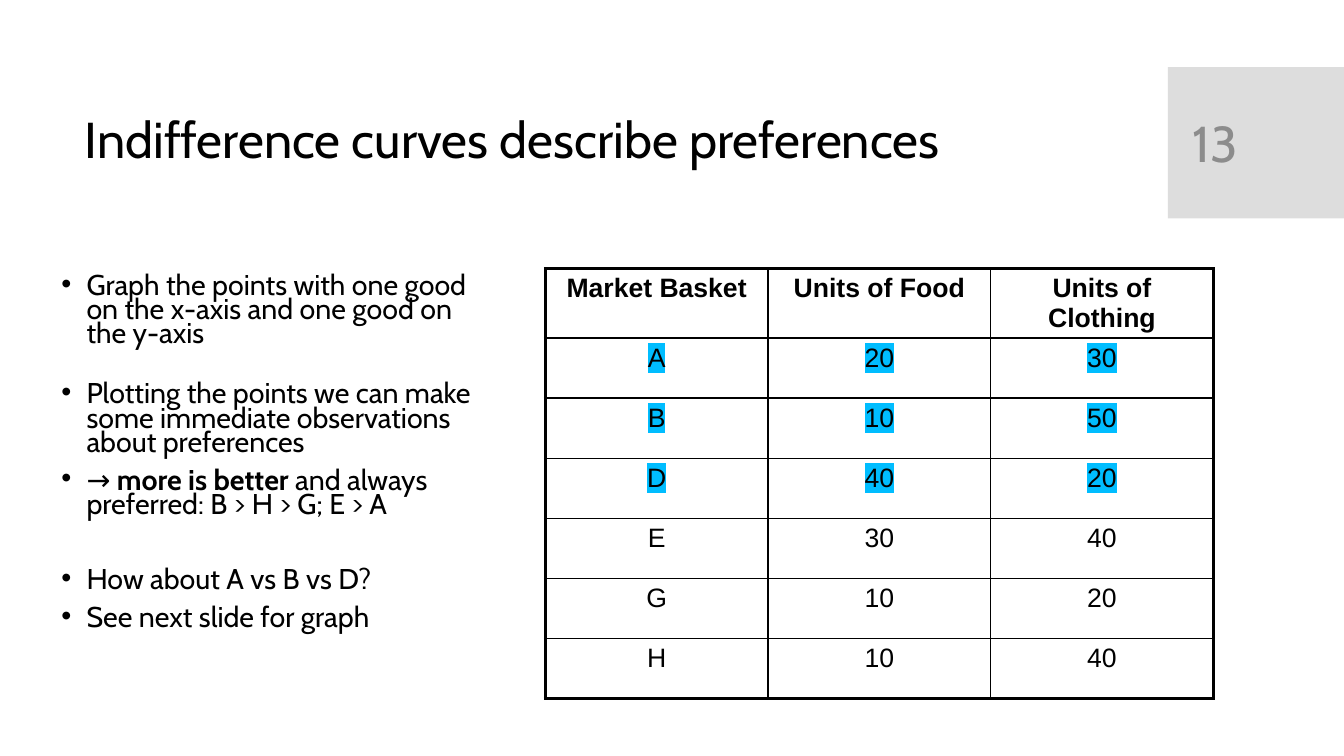
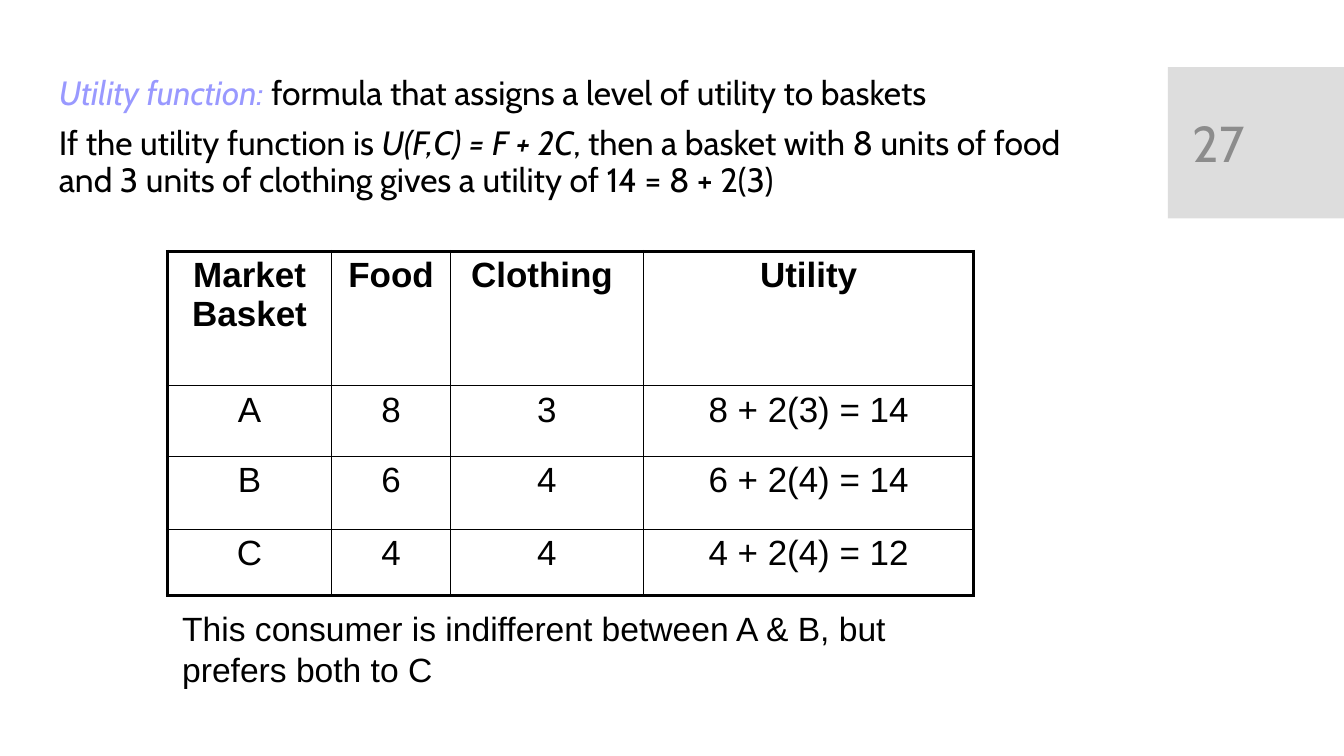
from lxml import etree
from pptx import Presentation
from pptx.dml.color import RGBColor
from pptx.enum.shapes import MSO_SHAPE as Shape
from pptx.enum.text import MSO_ANCHOR as Anchor, MSO_AUTO_SIZE as AutoSize, PP_ALIGN as Align
from pptx.oxml.ns import qn
from pptx.util import Inches, Pt

BLACK = RGBColor(0x00, 0x00, 0x00)
BAND_GRAY = RGBColor(0xDD, 0xDD, 0xDD)
NUMBER_GRAY = RGBColor(0x8C, 0x8C, 0x8C)
LILAC = RGBColor(0x99, 0x99, 0xFF)
HIGHLIGHT = RGBColor(0x00, 0xBD, 0xFF)

# The slide is a grid of 160 columns by 90 rows
COLUMNS, ROWS = 160, 90
prs = Presentation()
prs.slide_width, prs.slide_height = Inches(13.33), Inches(7.5)
UNIT = prs.slide_height / ROWS


def write(frame, paragraphs, font, bullet=None):
    """Each paragraph is (paragraph format, runs); each run is (text, font changes)."""
    frame.word_wrap = True
    frame.auto_size = AutoSize.NONE
    for index, (layout, runs) in enumerate(paragraphs):
        paragraph = frame.add_paragraph() if index else frame.paragraphs[0]
        pPr = paragraph._p.get_or_add_pPr()
        pPr.set("marL", str(Inches(0.25) if bullet else 0))
        pPr.set("indent", str(Inches(-0.25) if bullet else 0))
        if bullet:
            etree.SubElement(pPr, qn("a:buFont")).set("typeface", "Arial")
            etree.SubElement(pPr, qn("a:buChar")).set("char", bullet)
        else:
            etree.SubElement(pPr, qn("a:buNone"))
        for key, value in ({"space_before": Pt(0), "alignment": Align.LEFT} | layout).items():
            setattr(paragraph, key, value)
        for text, changes in runs:
            run = paragraph.add_run()
            run.text = text
            look = {"color": BLACK} | font | changes
            run.font.color.rgb = look.pop("color")
            for key, value in look.items():
                setattr(run.font, key, value)


def add_basket_table(slide, left, top, widths, heights, rows, size, marked=()):
    """Ruled table: bold header, heavy outer frame, highlighted rows in marked."""
    table = slide.shapes.add_table(
        len(rows), len(widths), int(left * UNIT), int(top * UNIT),
        int(sum(widths) * UNIT), int(sum(heights) * UNIT)).table
    table.first_row = table.horz_banding = False
    for column, width in zip(table.columns, widths):
        column.width = int(width * UNIT)
    for r, texts in enumerate(rows):
        table.rows[r].height = int(heights[r] * UNIT)
        for c, text in enumerate(texts):
            cell = table.cell(r, c)
            write(cell.text_frame, [({"alignment": Align.CENTER}, [(text, {})])],
                  {"name": "Arial", "size": Pt(size), "bold": r == 0})
            if r in marked:
                mark = etree.Element(qn("a:highlight"))
                etree.SubElement(mark, qn("a:srgbClr")).set("val", str(HIGHLIGHT))
                cell._tc.find(".//" + qn("a:latin")).addprevious(mark)
            tcPr = cell._tc.get_or_add_tcPr()
            outer = {"L": c == 0, "R": c == len(widths) - 1,
                     "T": r == 0, "B": r == len(rows) - 1}
            for side, heavy in outer.items():
                border = etree.SubElement(tcPr, qn("a:ln" + side))
                border.set("w", str(Pt(2.25 if heavy else 1)))
                fill = etree.SubElement(border, qn("a:solidFill"))
                etree.SubElement(fill, qn("a:srgbClr")).set("val", str(BLACK))
            cell.fill.background()


# Shared parts: gray band with the page number, placed body
pages = [("13", (6.1, 32.3, 51.7, 45.8)), ("27", (5.8, 8.5, 126.1, 17.6))]
for number, body_area in pages:
    slide = prs.slides.add_slide(prs.slide_layouts[1])
    band = slide.shapes.add_shape(
        Shape.RECTANGLE, *(int(n * UNIT) for n in (139, 8, COLUMNS - 139, 18)))
    band.shadow.inherit = False
    band.fill.solid()
    band.fill.fore_color.rgb = BAND_GRAY
    band.line.fill.background()
    page_number = slide.shapes.add_textbox(*(int(n * UNIT) for n in (140.8, 9.8, 15.1, 14.3)))
    page_number.text_frame.vertical_anchor = Anchor.MIDDLE
    write(page_number.text_frame, [({}, [(number, {})])],
          {"name": "Cabin", "size": Pt(36), "color": NUMBER_GRAY})
    body = slide.placeholders[1]
    body.left, body.top, body.width, body.height = (int(n * UNIT) for n in body_area)
curves, utility = prs.slides

# Indifference curves: title
title = curves.shapes.title
title.left, title.top, title.width, title.height = (
    int(n * UNIT) for n in (8.9, 9.8, 126.1, 14.2))
title.text_frame.vertical_anchor = Anchor.MIDDLE
write(title.text_frame,
      [({"line_spacing": 0.9}, [("Indifference curves describe preferences", {})])],
      {"name": "Cabin", "size": Pt(36)})

# Indifference curves: points, each with the gap above it
points = [
    (0, [("Graph the points with one good on the x-axis and one good on the y-axis", {})]),
    (26, [("Plotting the points we can make some immediate observations about preferences", {})]),
    (10, [("→ ", {}), ("more is better ", {"bold": True}),
          ("and always preferred: B > H > G; E > A", {})]),
    (37, [("How about A vs B vs D?", {})]),
    (10, [("See next slide for graph", {})]),
]
write(curves.placeholders[1].text_frame,
      [({"line_spacing": 0.7, "space_before": Pt(gap)}, runs) for gap, runs in points],
      {"name": "Cabin", "size": Pt(20.4)}, bullet="•")

# Indifference curves: baskets
baskets = [
    ("Market Basket", "Units of Food", "Units of Clothing"),
    ("A", "20", "30"),
    ("B", "10", "50"),
    ("D", "40", "20"),
    ("E", "30", "40"),
    ("G", "10", "20"),
    ("H", "10", "40"),
]
add_basket_table(curves, 64.9, 32, [26.5] * 3, [7.15] * len(baskets), baskets, 19,
                 marked=(1, 2, 3))

# Utility function: definition and example
utility.shapes.title._element.getparent().remove(utility.shapes.title._element)
write(utility.placeholders[1].text_frame, [
    ({"line_spacing": 0.9}, [
        ("Utility function: ", {"color": LILAC, "italic": True}),
        ("formula that assigns a level of utility to baskets", {})]),
    ({"line_spacing": 0.9, "space_before": Pt(10)}, [
        ("If the utility function is ", {}),
        ("U(F,C) = F + 2C", {"italic": True}),
        (", then a basket with 8 units of food and 3 units of clothing "
         "gives a utility of 14 = 8 + 2(3)", {})]),
], {"name": "Cabin", "size": Pt(24)})

# Utility function: utility of each basket
utilities = [
    ("Market Basket", "Food", "Clothing ", "Utility"),
    ("A", "8", "3", "8 + 2(3) = 14"),
    ("B", "6", "4", "6 + 2(4) = 14"),
    ("C", "4", "4", "4 + 2(4) = 12"),
]
add_basket_table(utility, 19.9, 29.9, [19.6, 14.1, 23, 39.3], [16, 8.4, 8.7, 7.9],
                 utilities, 25)

# Utility function: conclusion
conclusion = utility.shapes.add_textbox(*(int(n * UNIT) for n in (20.5, 71.8, 91.8, 10.9)))
write(conclusion.text_frame, [({}, [
    ("This consumer is indifferent between A & B, but prefers both to C", {})])],
    {"name": "Arial", "size": Pt(24)})

prs.save("out.pptx")
